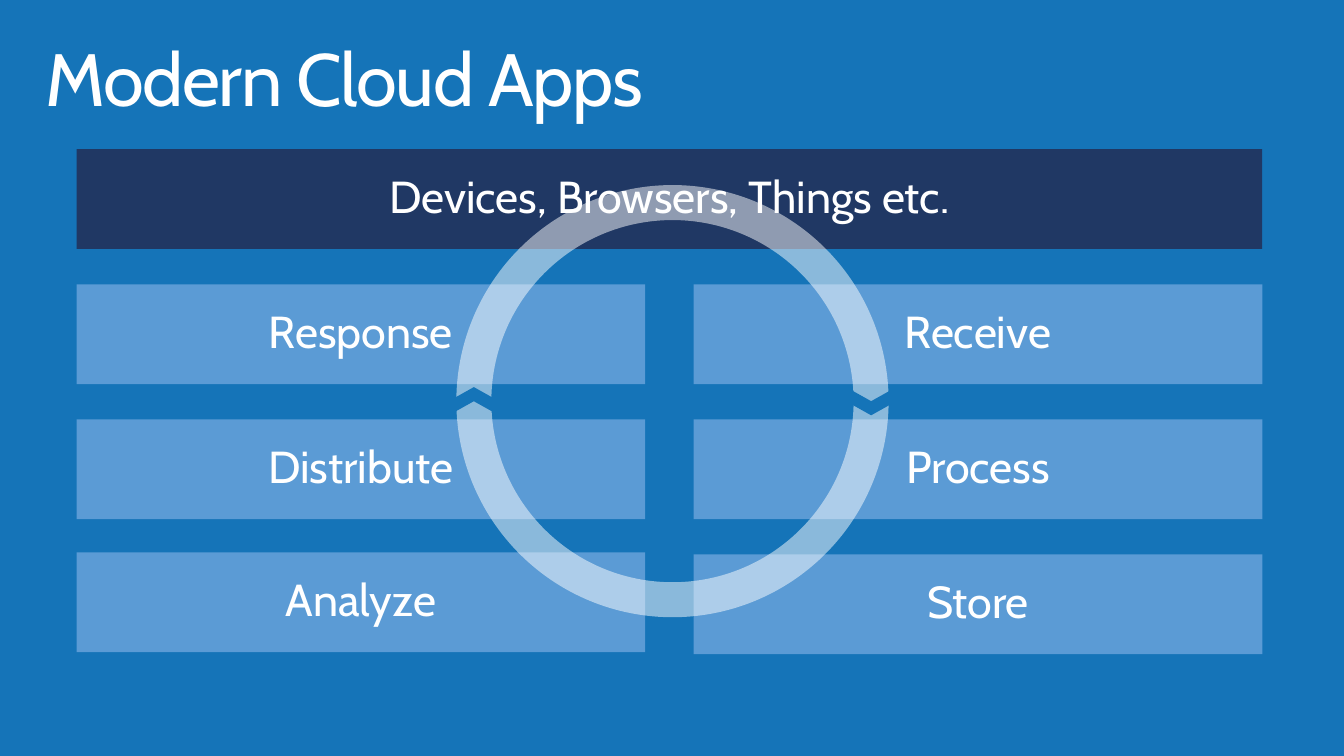
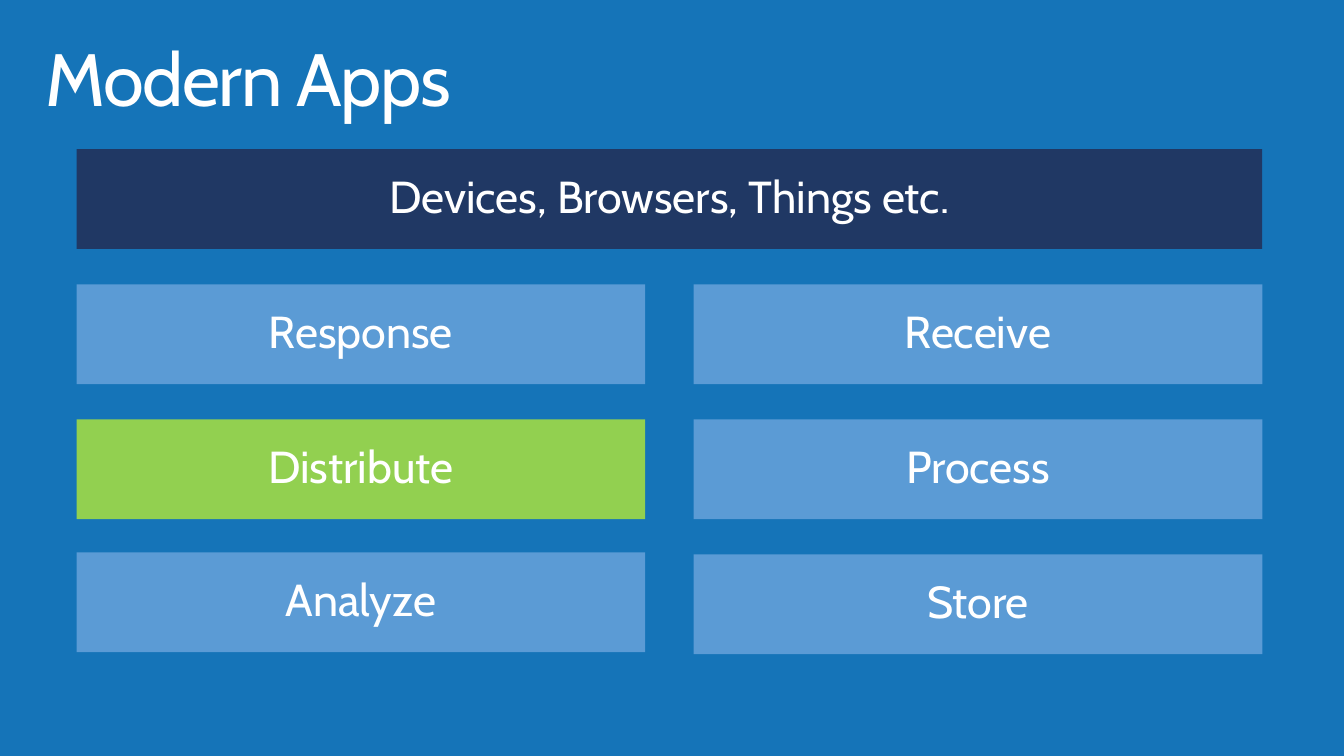
from dataclasses import dataclass

from lxml.etree import SubElement
from pptx import Presentation
from pptx.dml.color import RGBColor
from pptx.enum.shapes import MSO_SHAPE
from pptx.enum.text import MSO_ANCHOR, PP_ALIGN
from pptx.oxml.ns import qn
from pptx.util import Inches, Pt


@dataclass(frozen=True)
class Theme:
    background: str = "1574B8"
    banner: str = "203864"
    tile: str = "5B9BD5"
    highlight: str = "92D050"
    text: str = "FFFFFF"
    font: str = "Cabin"
    title_size: float = 52.9
    label_size: float = 32
    ring_width: float = 25
    ring_opacity: int = 50


THEME = Theme()
SLIDE_SIZE = (13.33, 7.5)
TITLE_BOX = (0.29, 0.32, 12.62, 0.98)
GRID_BOX = (0.76, 1.48, 11.76, 5.01)
RING_BOX = (4.7, 2.01, 3.94, 3.94)
TILE_WIDTH, TILE_HEIGHT = 5.64, 0.99
CHEVRON_WIDTH, CHEVRON_HEIGHT = 0.28, 0.5
BANNER_LABEL = "Devices, Browsers, Things etc."
COLUMNS = (("Response", "Distribute", "Analyze"), ("Receive", "Process", "Store"))
LIFTS = {"Analyze": 0.02}


def color(value):
    return RGBColor.from_string(value)


def write(box, text, size, side, edge, anchor, align):
    frame = box.text_frame
    frame.word_wrap = True
    frame.vertical_anchor = anchor
    frame.margin_left = frame.margin_right = Inches(side)
    frame.margin_top = frame.margin_bottom = Inches(edge)
    para = frame.paragraphs[0]
    para.text = text
    para.alignment = align
    para.line_spacing = 0.9
    para.font.name = THEME.font
    para.font.size = Pt(size)
    para.font.color.rgb = color(THEME.text)
    return para


def add_title(page, box, text):
    title = page.shapes.add_textbox(*map(Inches, box))
    para = write(title, text, THEME.title_size, 0.16, 0.1, MSO_ANCHOR.TOP, PP_ALIGN.LEFT)
    para.runs[0].font._element.set("spc", "-100")


def add_plain_shape(page, kind, box, fill=None):
    shape = page.shapes.add_shape(kind, *map(Inches, box))
    shape.shadow.inherit = False
    shape.line.fill.background()
    if fill:
        shape.fill.solid()
        shape.fill.fore_color.rgb = color(fill)
    else:
        shape.fill.background()
    return shape


def add_tile(page, box, label, fill):
    tile = add_plain_shape(page, MSO_SHAPE.RECTANGLE, box, fill)
    write(tile, label, THEME.label_size, 0.2, 0.16, MSO_ANCHOR.MIDDLE, PP_ALIGN.CENTER)


def add_stage_grid(page, box, highlighted=None):
    left, top, width, height = box
    row_step = (height - TILE_HEIGHT) / len(COLUMNS[0])
    column_step = width - TILE_WIDTH
    add_tile(page, (left, top, width, TILE_HEIGHT), BANNER_LABEL, THEME.banner)
    for column, labels in enumerate(COLUMNS):
        for row, label in enumerate(labels, start=1):
            tile_top = top + row * row_step - LIFTS.get(label, 0)
            fill = THEME.highlight if label == highlighted else THEME.tile
            tile_box = (left + column * column_step, tile_top, TILE_WIDTH, TILE_HEIGHT)
            add_tile(page, tile_box, label, fill)


def add_cycle_ring(page, box):
    left, top, width, height = box
    ring = add_plain_shape(page, MSO_SHAPE.OVAL, box)
    ring.line.color.rgb = color(THEME.text)
    ring.line.width = Pt(THEME.ring_width)
    stroke = ring.line.fill._xPr.find(qn("a:solidFill"))[0]
    SubElement(stroke, qn("a:alpha")).set("val", str(THEME.ring_opacity * 1000))
    chevron_top = top + (height - CHEVRON_HEIGHT) / 2
    for center, rotation in ((left + width, 90), (left, 270)):
        chevron_box = (center - CHEVRON_WIDTH / 2, chevron_top, CHEVRON_WIDTH, CHEVRON_HEIGHT)
        chevron = add_plain_shape(page, MSO_SHAPE.CHEVRON, chevron_box, THEME.background)
        chevron.rotation = rotation


def add_stage_slide(deck, title, highlighted=None, cycle=False):
    page = deck.slides.add_slide(deck.slide_layouts[6])
    page.background.fill.solid()
    page.background.fill.fore_color.rgb = color(THEME.background)
    add_title(page, TITLE_BOX, title)
    add_stage_grid(page, GRID_BOX, highlighted)
    if cycle:
        add_cycle_ring(page, RING_BOX)


def main():
    deck = Presentation()
    deck.slide_width, deck.slide_height = map(Inches, SLIDE_SIZE)
    add_stage_slide(deck, "Modern Cloud Apps", cycle=True)
    add_stage_slide(deck, "Modern Apps", highlighted="Distribute")
    deck.save("out.pptx")


if __name__ == "__main__":
    main()
